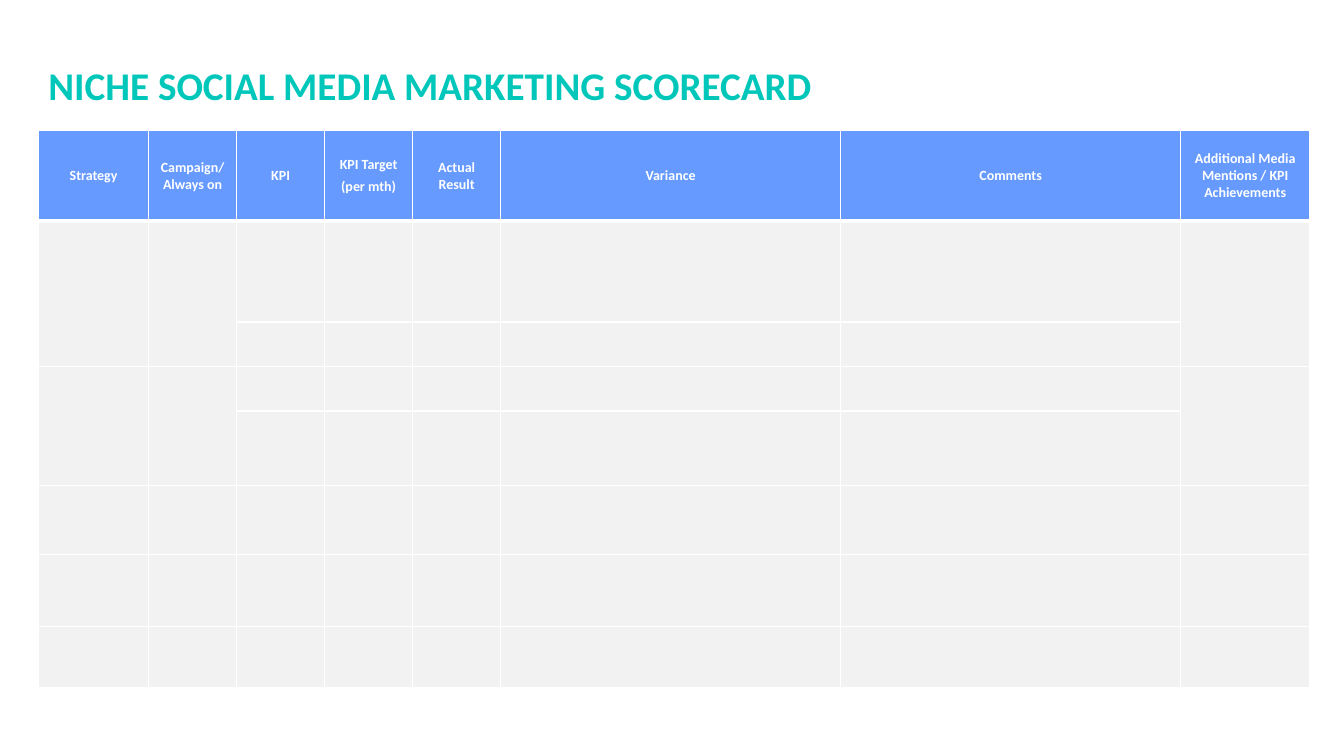
from dataclasses import dataclass
from typing import Any

from lxml import etree
from pptx import Presentation
from pptx.dml.color import RGBColor
from pptx.enum.text import MSO_ANCHOR, MSO_AUTO_SIZE, PP_ALIGN
from pptx.oxml.ns import qn
from pptx.util import Pt

LEFT, CENTER = PP_ALIGN.LEFT, PP_ALIGN.CENTER
MIDDLE = MSO_ANCHOR.MIDDLE
NO_FIT = MSO_AUTO_SIZE.NONE

TEAL = RGBColor(0x00, 0xC7, 0xBA)
BLUE = RGBColor(0x66, 0x9A, 0xFF)
GREY = RGBColor(0xF2, 0xF2, 0xF2)
WHITE = RGBColor(0xFF, 0xFF, 0xFF)

TITLE_FONT = {"name": "Calibri", "size": Pt(28), "bold": True}
HEAD_FONT = {"name": "Calibri", "size": Pt(10), "bold": True}
FLUSH = {
    "margin_left": 0,
    "margin_right": 0,
    "margin_top": 0,
    "margin_bottom": 0,
}
THIN, THICK = Pt(1), Pt(3)


@dataclass(frozen=True)
class Column:
    label: str
    width: float
    before: float = 3.4
    flush: bool = False
    merged: bool = False


COLUMNS = (
    Column("Strategy", 78.5, merged=True),
    Column("Campaign/ Always on", 62.9, merged=True),
    Column("KPI", 62.9, flush=True),
    Column("KPI Target\n(per mth)", 62.9),
    Column("Actual Result", 62.9, before=0),
    Column("Variance", 242.9),
    Column("Comments", 242.9),
    Column("Additional Media Mentions / KPI Achievements", 92.2,
           flush=True, merged=True),
)
HEIGHTS = (64.4, 72.2, 31.8, 31.8, 53.3, 49.2, 51.4, 43.8)
PAIRS = ((1, 2), (3, 4))


def apply(target: Any, values: dict[str, Any]) -> None:
    for name, value in values.items():
        setattr(target, name, value)


def style(para: Any, values: dict[str, Any], color: RGBColor) -> None:
    apply(para.font, values)
    para.font.color.rgb = color


def border(cell: Any, top: int, bottom: int) -> None:
    props = cell._tc.get_or_add_tcPr()
    sides = {"L": THIN, "R": THIN, "T": top, "B": bottom}
    for side, width in sides.items():
        line = etree.SubElement(props, qn(f"a:ln{side}"), w=str(int(width)))
        fill = etree.SubElement(line, qn("a:solidFill"))
        etree.SubElement(fill, qn("a:srgbClr"), val=str(WHITE))


def paint(cell: Any, row: int) -> None:
    border(cell, THICK if row == 1 else THIN, THICK if row == 0 else THIN)
    cell.fill.solid()
    cell.fill.fore_color.rgb = GREY if row else BLUE


def write_head(cell: Any, column: Column) -> None:
    cell.text = column.label
    cell.vertical_anchor = MIDDLE
    if column.flush:
        apply(cell, FLUSH)
    for para in cell.text_frame.paragraphs:
        apply(para, {"alignment": CENTER, "space_before": Pt(column.before)})
        style(para, HEAD_FONT, WHITE)


def add_title(slide: Any) -> None:
    title = slide.shapes.title
    apply(title, {"left": Pt(27.4), "top": Pt(27.4),
                  "width": Pt(856.8), "height": Pt(66.2)})
    frame = title.text_frame
    frame.text = "NICHE SOCIAL MEDIA MARKETING SCORECARD"
    apply(frame, {"vertical_anchor": MIDDLE, "word_wrap": True,
                  "auto_size": NO_FIT})
    para = frame.paragraphs[0]
    para.alignment = LEFT
    style(para, TITLE_FONT, TEAL)


def add_score(slide: Any) -> None:
    width = sum(column.width for column in COLUMNS)
    frame = slide.shapes.add_table(
        len(HEIGHTS), len(COLUMNS),
        Pt(27.6), Pt(93.4), Pt(width), Pt(sum(HEIGHTS)))
    table = frame.table
    table.horz_banding = False
    for row, height in enumerate(HEIGHTS):
        table.rows[row].height = Pt(height)
    for col, column in enumerate(COLUMNS):
        table.columns[col].width = Pt(column.width)
        for row in range(len(HEIGHTS)):
            paint(table.cell(row, col), row)
        write_head(table.cell(0, col), column)
        if column.merged:
            for first, last in PAIRS:
                table.cell(first, col).merge(table.cell(last, col))


def main() -> None:
    deck = Presentation()
    deck.slide_width, deck.slide_height = Pt(960), Pt(540)
    slide = deck.slides.add_slide(deck.slide_layouts[5])
    add_title(slide)
    add_score(slide)
    deck.save("out.pptx")


if __name__ == "__main__":
    main()
